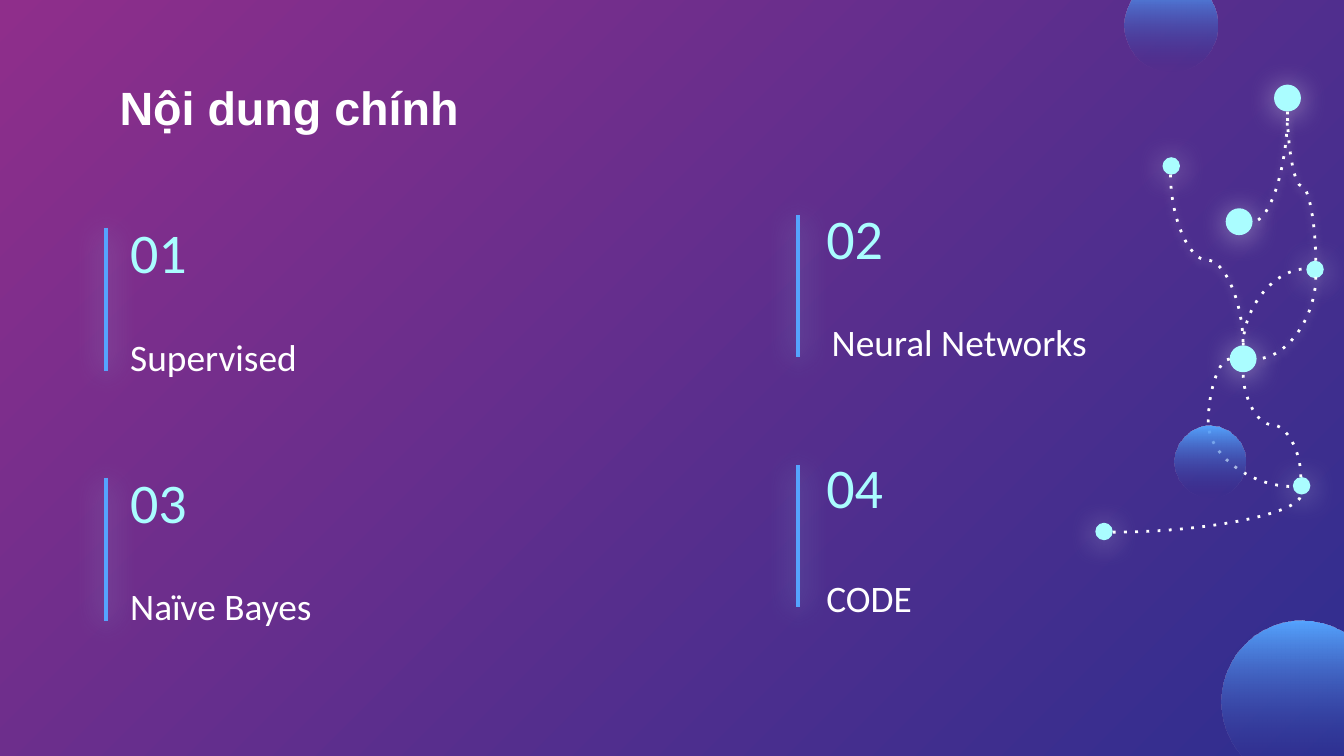
from lxml import etree
from pptx import Presentation
from pptx.dml.color import RGBColor
from pptx.enum.shapes import MSO_CONNECTOR, MSO_SHAPE
from pptx.enum.text import MSO_ANCHOR, MSO_AUTO_SIZE, PP_ALIGN
from pptx.oxml.ns import qn
from pptx.util import Inches, Pt

OVAL = MSO_SHAPE.OVAL
LINE, CURVE = MSO_CONNECTOR.STRAIGHT, MSO_CONNECTOR.CURVE
TOP, MIDDLE, BOTTOM = MSO_ANCHOR.TOP, MSO_ANCHOR.MIDDLE, MSO_ANCHOR.BOTTOM
LEFT = PP_ALIGN.LEFT
NO_FIT = MSO_AUTO_SIZE.NONE

WHITE, CYAN, BLUE = "FFFFFF", "AAFDFF", "55A4FF"
PURPLE, NAVY = "8F2E8B", "2E2E8F"

# bar x, bar y, number x, number y, label x, label y, label width, number, label
TOPICS = [
    (0.79, 1.70, 0.87, 1.62, 0.87, 2.35, 2.52, "01", "Supervised"),
    (5.94, 1.60, 6.05, 1.52, 6.09, 2.24, 3.35, "02", "Neural Networks"),
    (0.79, 3.56, 0.87, 3.48, 0.87, 4.20, 2.52, "03", "Naïve Bayes"),
    (5.94, 3.46, 6.05, 3.37, 6.05, 4.14, 2.52, "04", "CODE"),
]
# left, top, size
NODES = [
    (9.12, 1.55, 0.2), (9.15, 2.57, 0.2), (9.48, 0.63, 0.2),
    (8.65, 1.17, 0.13), (9.72, 1.94, 0.13), (9.62, 3.55, 0.13),
    (8.15, 3.89, 0.13),
]
ORBS = [(8.37, -0.16, 0.69), (9.09, 4.62, 1.2), (8.74, 3.17, 0.53)]
# start, end, starts upright, bend (None for a quarter turn), glows
LINKS = [
    ((9.25, 2.57), (9.72, 2.00), True, None, False),
    ((8.71, 1.30), (9.25, 2.57), True, 0.5, True),
    ((9.79, 1.94), (9.58, 0.83), True, 0.5, True),
    ((9.79, 2.06), (9.35, 2.67), True, None, True),
    ((9.58, 0.83), (9.32, 1.65), True, None, True),
    ((9.15, 2.67), (9.62, 3.62), False, -0.34, False),
    ((8.28, 3.96), (9.68, 3.68), False, None, False),
    ((9.68, 3.55), (9.25, 2.77), True, 0.5, False),
]


def rgb(color):
    return RGBColor.from_string(color)


def add_glow(shape, color=None, blur=15.8):
    """Replace the theme shadow with a soft glow, or with none."""
    props = shape._element.spPr
    for old in props.findall(qn("a:effectLst")):
        props.remove(old)
    effects = etree.SubElement(props, qn("a:effectLst"))
    if color:
        shadow = etree.SubElement(
            effects, qn("a:outerShdw"), blurRad=str(Pt(blur)),
            dist=str(Pt(1.5)), dir="5400000", algn="bl", rotWithShape="0")
        tint = etree.SubElement(shadow, qn("a:srgbClr"), val=color)
        etree.SubElement(tint, qn("a:alpha"), val="50000")


def set_blend(fill, first, last, angle):
    fill.gradient()
    fill.gradient_angle = 360 - angle
    for stop, color in zip(fill.gradient_stops, (first, last)):
        stop.color.rgb = rgb(color)


def fill_text(shape, text, size, font, color, anchor, bold=False):
    frame = shape.text_frame
    frame.word_wrap = True
    frame.auto_size = NO_FIT
    frame.vertical_anchor = anchor
    frame.margin_left = frame.margin_right = Inches(0.1)
    frame.margin_top = frame.margin_bottom = Inches(0.1)
    para = frame.paragraphs[0]
    para.alignment = LEFT
    run = para.add_run()
    run.text = text
    run.font.size = Pt(size)
    run.font.name = font
    run.font.bold = bold
    run.font.color.rgb = rgb(color)


def add_title(slide, text):
    title = slide.shapes.title
    title.left, title.top = Inches(0.79), Inches(0.49)
    title.width, title.height = Inches(8.43), Inches(0.63)
    fill_text(title, text, 25, "Arial", WHITE, TOP, True)


def add_label(slide, x, y, w, h, text, size, color, anchor):
    box = slide.shapes.add_textbox(Inches(x), Inches(y), Inches(w), Inches(h))
    fill_text(box, text, size, "Calibri", color, anchor)


def add_line(slide, kind, start, end, color, width):
    line = slide.shapes.add_connector(
        kind, *(Inches(v) for v in (*start, *end)))
    line.line.color.rgb = rgb(color)
    line.line.width = Pt(width)
    return line


def add_topic(slide, bar_x, bar_y, num_x, num_y, x, y, width, number, label):
    add_label(slide, num_x, num_y, 1.12, 0.49, number, 30, CYAN, MIDDLE)
    add_label(slide, x, y, width, 0.57, label, 20, WHITE, BOTTOM)
    bar = add_line(slide, LINE, (bar_x, bar_y), (bar_x, bar_y + 1.06),
                   BLUE, 2.25)
    add_glow(bar, CYAN)


def add_disc(slide, x, y, size):
    disc = slide.shapes.add_shape(
        OVAL, Inches(x), Inches(y), Inches(size), Inches(size))
    disc.line.fill.background()
    return disc


def add_node(slide, x, y, size):
    node = add_disc(slide, x, y, size)
    node.fill.solid()
    node.fill.fore_color.rgb = rgb(CYAN)
    add_glow(node, WHITE)


def add_orb(slide, x, y, size):
    """Add a disc that fades out towards its foot."""
    orb = add_disc(slide, x, y, size)
    set_blend(orb.fill, BLUE, NAVY, 90)
    add_glow(orb)
    tints = orb._element.spPr.findall(".//" + qn("a:srgbClr"))
    etree.SubElement(tints[-1], qn("a:alpha"), val="0")


def add_link(slide, start, end, upright, bend, glows):
    """Add a dotted curve; an upright start is a level curve turned."""
    turn = 0
    if upright:
        (x1, y1), (x2, y2) = start, end
        mid_x, mid_y = (x1 + x2) / 2, (y1 + y2) / 2
        turn = 270 if x2 > x1 else 90
        half_w = (y2 - y1) / 2 * (1 if turn == 90 else -1)
        half_h = abs(x2 - x1) / 2
        start = mid_x - half_w, mid_y - half_h
        end = mid_x + half_w, mid_y + half_h
    link = add_line(slide, CURVE, start, end, WHITE, 1.5)
    props = link._element.spPr
    if turn:
        props.find(qn("a:xfrm")).set("rot", str(turn * 60000))
    shape = props.find(qn("a:prstGeom"))
    if bend is None:
        shape.set("prst", "curvedConnector2")
    else:
        guides = shape.find(qn("a:avLst"))
        etree.SubElement(guides, qn("a:gd"), name="adj1",
                         fmla=f"val {round(bend * 100000)}")
    etree.SubElement(props.find(qn("a:ln")), qn("a:prstDash"), val="dot")
    add_glow(link, WHITE if glows else None, 4.5)


def main():
    deck = Presentation()
    deck.slide_width = Inches(10)
    deck.slide_height = Inches(10 * 9 / 16)
    slide = deck.slides.add_slide(deck.slide_layouts[5])
    set_blend(slide.background.fill, PURPLE, NAVY, 45)
    add_title(slide, "Nội dung chính")
    for topic in TOPICS:
        add_topic(slide, *topic)
    for node in NODES:
        add_node(slide, *node)
    for link in LINKS:
        add_link(slide, *link)
    for orb in ORBS:
        add_orb(slide, *orb)
    deck.save("out.pptx")


if __name__ == "__main__":
    main()
